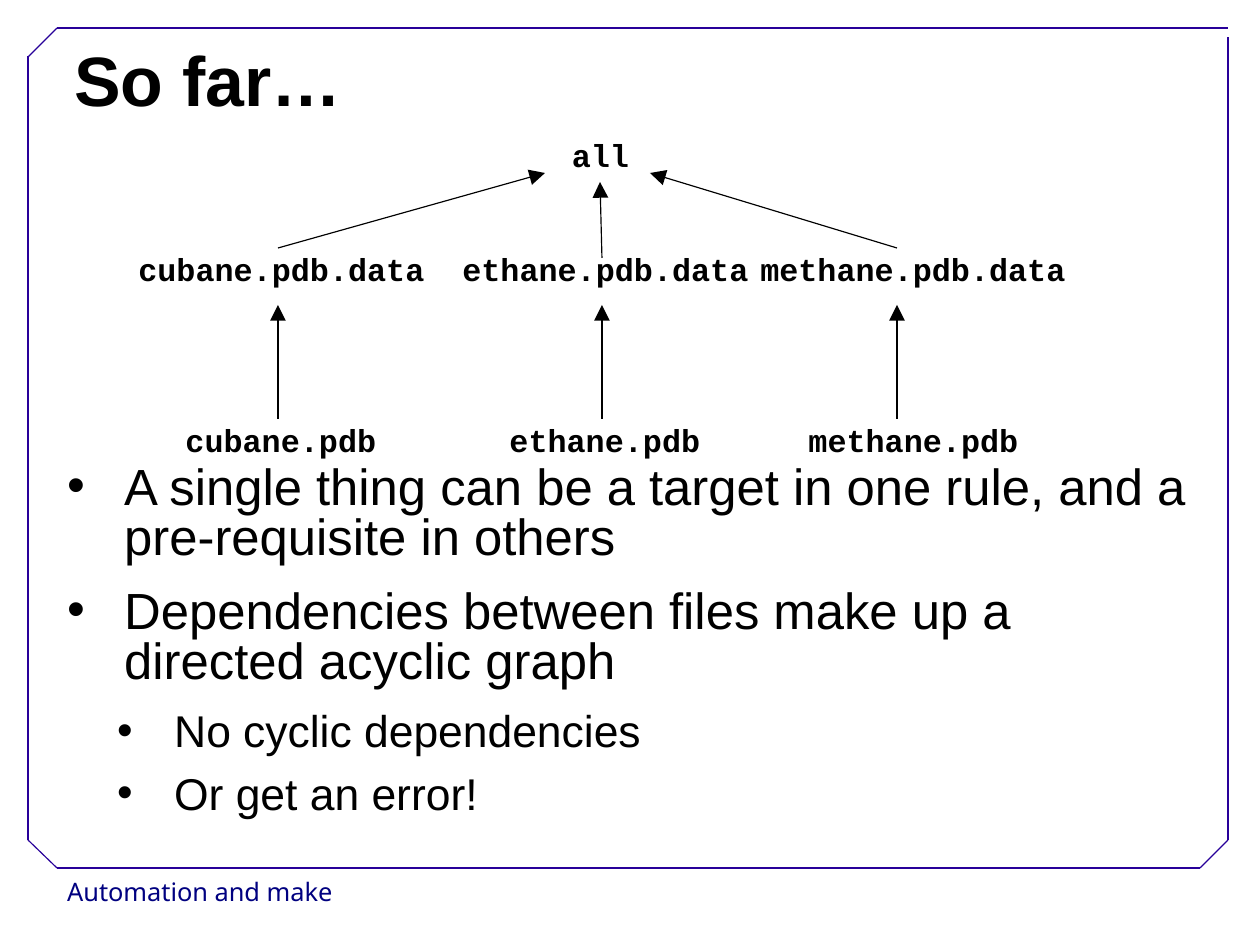
from dataclasses import dataclass
from typing import Any, NamedTuple

import pptx
import pptx.dml.color
import pptx.enum.shapes
import pptx.enum.text
import pptx.oxml
import pptx.oxml.ns
import pptx.util

EMU_PER_PX = 8000  # 45 px to the centimetre
ALIGN = pptx.enum.text.PP_ALIGN
ANCHOR = pptx.enum.text.MSO_ANCHOR
AUTO_SIZE = pptx.enum.text.MSO_AUTO_SIZE


@dataclass(frozen=True)
class Theme:
    ink: str = "000000"
    frame: str = "280099"
    footer: str = "000080"
    sans: str = "Arial"
    mono: str = "Courier New"
    footer_font: str = "Noto Sans"
    title_pt: int = 44
    bullet_pt: tuple[int, int] = (32, 28)
    label_pt: int = 20
    footer_pt: int = 16
    line_pt: float = 0.75


THEME = Theme()


class Box(NamedTuple):
    left: int
    top: int
    width: int
    height: int


class Line(NamedTuple):
    x1: int
    y1: int
    x2: int
    y2: int


class Label(NamedTuple):
    text: str
    center: int
    top: int


class Bullet(NamedTuple):
    text: str
    level: int = 0


class Molecule(NamedTuple):
    name: str
    center: int
    arrow_x: int
    arrow_y: int
    goal: tuple[int, int]


ALL_TOP, DATA_TOP, PDB_TOP = 134, 248, 419
LABEL_HEIGHT, LABEL_PADDING, CHAR_WIDTH = 47, 26, 19

MOLECULES = [
    Molecule("cubane", 281, 278, 248, (545, 173)),
    Molecule("ethane", 605, 602, 258, (600, 182)),
    Molecule("methane", 913, 897, 248, (650, 173)),
]

FRAME = [
    Line(57, 868, 1200, 868),
    Line(28, 840, 28, 56),
    Line(57, 28, 1228, 28),
    Line(1228, 840, 1228, 37),
    Line(28, 57, 57, 28),
    Line(1200, 868, 1228, 840),
    Line(28, 840, 57, 868),
]

BULLETS = [
    Bullet("A single thing can be a target in one rule, and a pre-requisite in others"),
    Bullet("Dependencies between files make up a directed acyclic graph"),
    Bullet("No cyclic dependencies", 1),
    Bullet("Or get an error!", 1),
]
BULLET_INDENT = (57, 107)
BULLET_HANG = 57
BULLET_GAP_PT = (14.3, 11.4)


def px(n: int) -> int:
    return n * EMU_PER_PX


def apply(target: Any, values: dict[str, Any]) -> None:
    for name, value in values.items():
        setattr(target, name, value)


def add_frame(s: Any, box: Box, wrap: bool, anchor: Any,
              auto_size: Any = AUTO_SIZE.NONE) -> Any:
    tf = s.shapes.add_textbox(*map(px, box)).text_frame
    apply(tf, {"word_wrap": wrap, "vertical_anchor": anchor, "auto_size": auto_size})
    return tf


def write(p: Any, text: str, font: str, size: int, color: str, spacing: float,
          bold: bool = False, align: Any = ALIGN.LEFT) -> None:
    apply(p, {"line_spacing": spacing, "alignment": align})
    r = p.add_run()
    r.text = text
    apply(r.font, {"name": font, "size": pptx.util.Pt(size), "bold": bold})
    r.font.color.rgb = pptx.dml.color.RGBColor.from_string(color)


def add_line(s: Any, line: Line, color: str, arrow: bool = False) -> None:
    sp = s.shapes.add_connector(pptx.enum.shapes.MSO_CONNECTOR.STRAIGHT, *map(px, line))
    sp.line.width = pptx.util.Pt(THEME.line_pt)
    sp.line.color.rgb = pptx.dml.color.RGBColor.from_string(color)
    if arrow:
        ln = sp._element.spPr.find(pptx.oxml.ns.qn("a:ln"))
        ln.append(pptx.oxml.parse_xml(
            f'<a:tailEnd {pptx.oxml.ns.nsdecls("a")} type="triangle" w="lg" len="lg"/>'))
    sp._element.spPr.append(pptx.oxml.parse_xml(
        f'<a:effectLst {pptx.oxml.ns.nsdecls("a")}/>'))


def add_label(s: Any, label: Label) -> None:
    width = LABEL_PADDING + len(label.text) * CHAR_WIDTH
    box = Box(label.center - width // 2, label.top, width, LABEL_HEIGHT)
    tf = add_frame(s, box, False, ANCHOR.TOP, AUTO_SIZE.SHAPE_TO_FIT_TEXT)
    write(tf.paragraphs[0], label.text, THEME.mono, THEME.label_pt, THEME.ink,
          0.93, bold=True, align=ALIGN.CENTER)


def add_bullets(s: Any, box: Box, bullets: list[Bullet]) -> None:
    tf = add_frame(s, box, True, ANCHOR.TOP)
    for i, bullet in enumerate(bullets):
        p = tf.add_paragraph() if i else tf.paragraphs[0]
        level = bullet.level
        write(p, bullet.text, THEME.sans, THEME.bullet_pt[level], THEME.ink, 0.83)
        apply(p, {"level": level, "space_after": pptx.util.Pt(BULLET_GAP_PT[level])})
        pPr = p._p.get_or_add_pPr()
        pPr.set("marL", str(px(BULLET_INDENT[level])))
        pPr.set("indent", str(-px(BULLET_HANG)))
        for tag in (f'buFont {{}} typeface="{THEME.sans}"', 'buChar {} char="•"'):
            pPr.append(pptx.oxml.parse_xml(
                f'<a:{tag.format(pptx.oxml.ns.nsdecls("a"))}/>'))


def add_dependency_graph(s: Any) -> None:
    add_label(s, Label("all", 600, ALL_TOP))
    for m in MOLECULES:
        add_label(s, Label(f"{m.name}.pdb.data", m.center, DATA_TOP))
        add_label(s, Label(f"{m.name}.pdb", m.center, PDB_TOP))
        add_line(s, Line(m.arrow_x, m.arrow_y, *m.goal), THEME.ink, arrow=True)
        add_line(s, Line(m.arrow_x, PDB_TOP, m.arrow_x, DATA_TOP + 57), THEME.ink, arrow=True)


def main() -> None:
    prs = pptx.Presentation()
    apply(prs, {"slide_width": px(1260), "slide_height": px(945)})
    s = prs.slides.add_slide(prs.slide_layouts[6])

    footer = add_frame(s, Box(56, 868, 300, 46), False, ANCHOR.MIDDLE)
    write(footer.paragraphs[0], "Automation and make", THEME.footer_font,
          THEME.footer_pt, THEME.footer, 1.02)
    for line in FRAME:
        add_line(s, line, THEME.frame)

    title = add_frame(s, Box(63, 35, 1134, 96), True, ANCHOR.MIDDLE)
    write(title.paragraphs[0], "So far…", THEME.sans, THEME.title_pt, THEME.ink,
          0.93, bold=True)
    add_bullets(s, Box(56, 459, 1143, 371), BULLETS)
    add_dependency_graph(s)
    prs.save("out.pptx")


if __name__ == "__main__":
    main()
